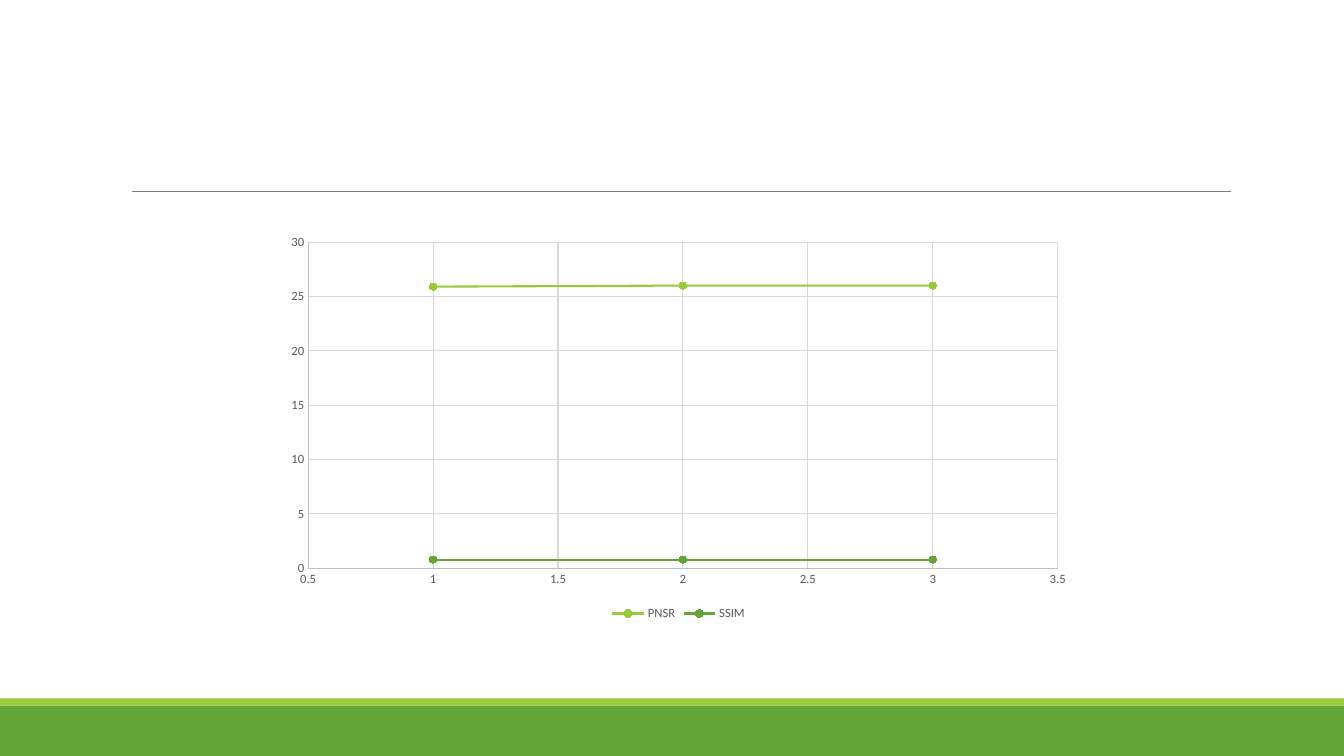
import pptx
import pptx.chart.data
import pptx.dml.color
import pptx.enum.chart
import pptx.enum.shapes
import pptx.oxml
import pptx.util
from pptx.util import Inches

RGBColor = pptx.dml.color.RGBColor
LIME = RGBColor(0x99, 0xCB, 0x38)
GREEN = RGBColor(0x63, 0xA5, 0x37)
RULE_GRAY = RGBColor(0x80, 0x80, 0x80)
LABEL_GRAY = RGBColor(0x59, 0x59, 0x59)
AXIS_GRAY = RGBColor(0xBF, 0xBF, 0xBF)
GRID_GRAY = RGBColor(0xD9, 0xD9, 0xD9)
BLACK = RGBColor(0, 0, 0)

RUNS = (1, 2, 3)
METRICS = (
    ("PNSR", (25.9, 26, 26), LIME),
    ("SSIM", (0.8, 0.8, 0.8), GREEN),
)


def apply(target, settings):
    for attribute, value in settings.items():
        setattr(target, attribute, value)


def style_font(font, size, color):
    apply(font, {"name": "Calibri", "size": pptx.util.Pt(size)})
    font.color.rgb = color


def style_line(line, color, width):
    line.color.rgb = color
    line.width = pptx.util.Pt(width)


def add_footer(slide, left, top, width, height):
    accent_height = 0.07
    bands = (
        (top + accent_height, height - accent_height, GREEN),
        (top, accent_height, LIME),
    )
    for band_top, band_height, color in bands:
        band = slide.shapes.add_shape(
            pptx.enum.shapes.MSO_SHAPE.RECTANGLE,
            Inches(left), Inches(band_top), Inches(width), Inches(band_height))
        band.shadow.inherit = False
        band.fill.solid()
        band.fill.fore_color.rgb = color
        band.line.fill.background()


def add_title_rule(slide, left, top, width):
    rule = slide.shapes.add_connector(
        pptx.enum.shapes.MSO_CONNECTOR.STRAIGHT,
        Inches(left), Inches(top), Inches(left + width), Inches(top))
    style_line(rule.line, RULE_GRAY, 0.5)
    properties = rule._element.spPr
    properties.append(pptx.oxml.parse_xml(
        '<a:effectLst xmlns:a="http://schemas.openxmlformats.org/drawingml/2006/main"/>'))


def style_axis(axis, scale):
    tick_none = pptx.enum.chart.XL_TICK_MARK.NONE
    apply(axis, {
        "major_tick_mark": tick_none,
        "minor_tick_mark": tick_none,
        "has_major_gridlines": True,
        **scale,
    })
    style_font(axis.tick_labels.font, 9, LABEL_GRAY)
    apply(axis.tick_labels, {"number_format": "General", "number_format_is_linked": False})
    style_line(axis.format.line, AXIS_GRAY, 0.75)
    style_line(axis.major_gridlines.format.line, GRID_GRAY, 0.75)


def add_metrics_chart(slide, left, top, width, height):
    data = pptx.chart.data.XyChartData()
    for name, scores, _ in METRICS:
        metric = data.add_series(name)
        for run, score in zip(RUNS, scores):
            metric.add_data_point(run, score)

    chart = slide.shapes.add_chart(
        pptx.enum.chart.XL_CHART_TYPE.XY_SCATTER_LINES,
        Inches(left), Inches(top), Inches(width), Inches(height), data).chart
    apply(chart, {"has_title": False, "has_legend": True})
    style_font(chart.font, 10, BLACK)
    apply(chart.legend, {
        "position": pptx.enum.chart.XL_LEGEND_POSITION.BOTTOM,
        "include_in_layout": False,
    })
    style_font(chart.legend.font, 9, LABEL_GRAY)
    style_axis(chart.category_axis,
               {"minimum_scale": 0.5, "maximum_scale": 3.5, "major_unit": 0.5})
    style_axis(chart.value_axis,
               {"minimum_scale": 0, "maximum_scale": 30, "major_unit": 5})

    plot = chart.plots[0]
    plot.vary_by_categories = False
    for metric, (_, _, color) in zip(plot.series, METRICS):
        metric.smooth = False
        style_line(metric.format.line, color, 1.5)
        apply(metric.marker, {
            "style": pptx.enum.chart.XL_MARKER_STYLE.CIRCLE,
            "size": 5,
        })
        metric.marker.format.fill.solid()
        metric.marker.format.fill.fore_color.rgb = color
        style_line(metric.marker.format.line, color, 0.75)


def build():
    presentation = pptx.Presentation()
    apply(presentation, {"slide_width": Inches(13.33), "slide_height": Inches(7.5)})
    slide = presentation.slides.add_slide(presentation.slide_layouts[6])
    add_footer(slide, 0, 6.93, 13.33, 0.57)
    add_title_rule(slide, 1.31, 1.9, 10.9)
    add_metrics_chart(slide, 2.73, 2.25, 8, 3.95)
    presentation.save("out.pptx")


build()
